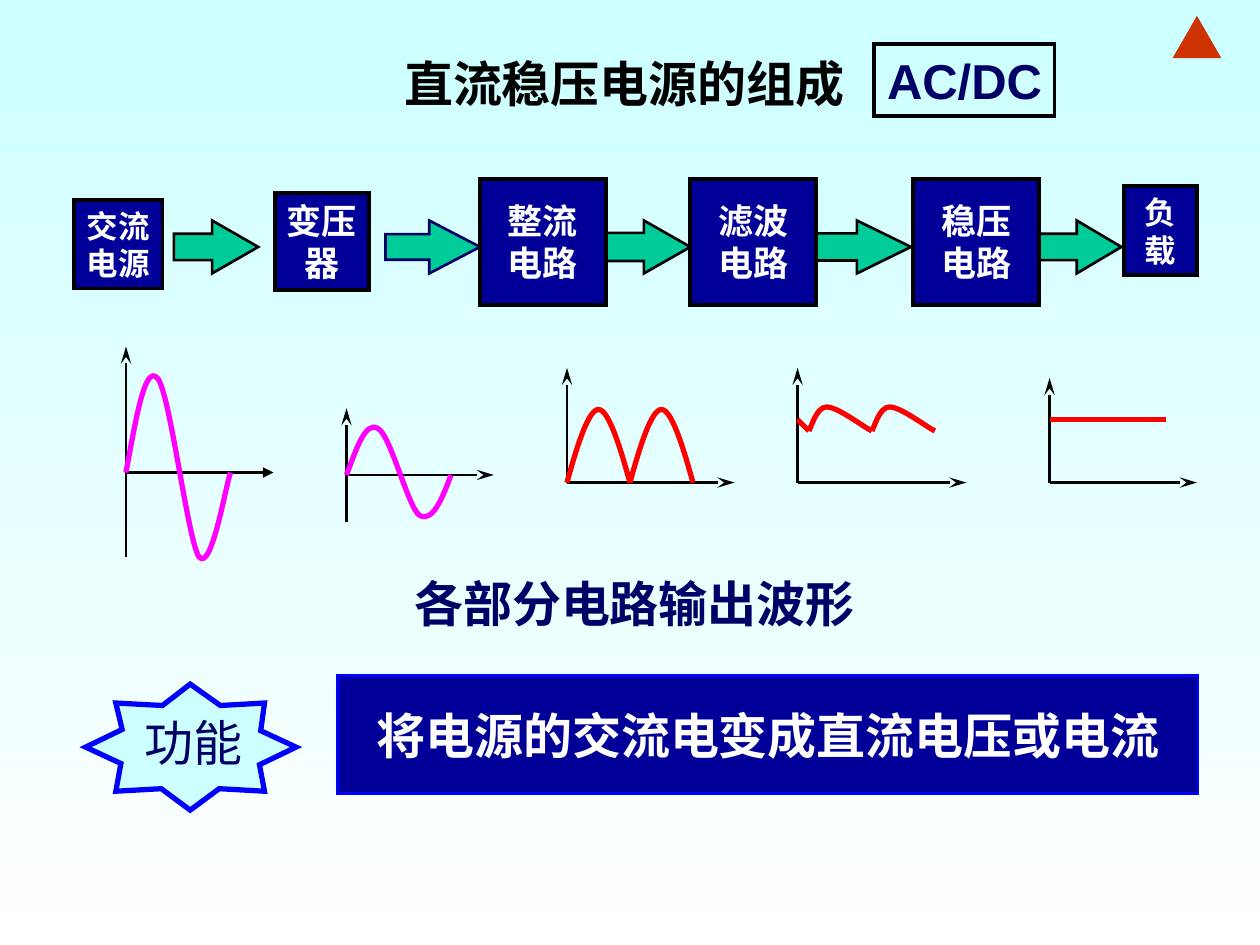
from lxml import etree
from pptx import Presentation
from pptx import util as u
from pptx.dml.color import RGBColor
from pptx.enum import shapes, text
from pptx.oxml.ns import qn

Inches, Pt = u.Inches, u.Pt
CJK = "Noto Sans CJK SC"
BLACK, NAVY, INK, WHITE = "000000", "000099", "000066", "FFFFFF"
PALE, GREEN, BLUE, RED, PINK = "CCFFFF", "00CC99", "0000FF", "FF0000", "FF00FF"
RUST = "CC3300"
rgb = RGBColor.from_string

prs = Presentation()
prs.slide_width, prs.slide_height = Inches(10), Inches(7.5)
slide = prs.slides.add_slide(prs.slide_layouts[6])
canvas = slide.shapes


def style(shape, fill, line, width):
    """Plain fill and sharp-cornered outline without a shadow."""
    shape.shadow.inherit = False
    if fill:
        shape.fill.solid()
        shape.fill.fore_color.rgb = rgb(fill)
    else:
        shape.fill.background()
    shape.line.color.rgb = rgb(line)
    shape.line.width = Pt(width)
    etree.SubElement(shape.line._get_or_add_ln(), qn("a:miter"), lim="800000")


def write(shape, lines, size, color, bold=True, font=CJK, wrap=False):
    """Centred text, one paragraph per line."""
    frame = shape.text_frame
    frame.word_wrap = wrap
    frame.vertical_anchor = text.MSO_ANCHOR.MIDDLE
    for i, line in enumerate(lines):
        paragraph = frame.add_paragraph() if i else frame.paragraphs[0]
        paragraph.alignment = text.PP_ALIGN.CENTER
        run = paragraph.add_run()
        run.text = line
        run.font.size, run.font.bold, run.font.name = Pt(size), bold, font
        run.font.color.rgb = rgb(color)
        etree.SubElement(run.font._element, qn("a:ea"), typeface=font)


# Background gradient, top to bottom
backdrop = slide.background.fill
backdrop.gradient()
backdrop.gradient_angle = 270
for stop, (position, color) in zip(backdrop.gradient_stops, [(0, PALE), (1, WHITE)]):
    stop.position = position
    stop.color.rgb = rgb(color)

# Plain corner emblem
emblem = canvas.add_shape(shapes.MSO_SHAPE.ISOSCELES_TRIANGLE, Inches(9.31), Inches(0.13),
                          Inches(0.38), Inches(0.33))
style(emblem, RUST, RUST, 0.25)

# Arrows between the stages: left, width, shaft, head, outline
for left, width, shaft, head, outline in [
    (1.38, 0.67, 0.5, 0.871, BLACK),
    (3.06, 0.75, 0.483, 0.959, INK),
    (4.81, 0.67, 0.533, 0.879, BLACK),
    (6.48, 0.75, 0.514, 1.021, BLACK),
    (8.25, 0.65, 0.5, 0.844, BLACK),
]:
    arrow = canvas.add_shape(shapes.MSO_SHAPE.RIGHT_ARROW, Inches(left), Inches(1.75),
                             Inches(width), Inches(0.42))
    arrow.adjustments[0], arrow.adjustments[1] = shaft, head
    style(arrow, GREEN, outline, 1.5)

# Headings and the AC/DC tag
title = canvas.add_textbox(Inches(2.08), Inches(0.37), Inches(5.75), Inches(0.57))
write(title, ["直流稳压电源的组成"], 28, BLACK, wrap=True)
caption = canvas.add_textbox(Inches(3.04), Inches(4.5), Inches(3.99), Inches(0.57))
write(caption, ["各部分电路输出波形"], 28, INK, font="Arial", wrap=True)
tag = canvas.add_shape(shapes.MSO_SHAPE.RECTANGLE, Inches(6.94), Inches(0.35),
                       Inches(1.43), Inches(0.57))
style(tag, None, BLACK, 2.25)
write(tag, ["AC/DC"], 28, INK, font="Arial")

# Stages of the supply: lines, left, top, width, height, text size
for lines, left, top, width, height, size in [
    (["交流", "电源"], 0.59, 1.59, 0.7, 0.7, 18),
    (["变压", "器"], 2.18, 1.53, 0.75, 0.77, 20),
    (["整流", "电路"], 3.81, 1.42, 1, 1, 20),
    (["滤波", "电路"], 5.48, 1.42, 1, 1, 20),
    (["稳压", "电路"], 7.25, 1.42, 1, 1, 20),
    (["负", "载"], 8.92, 1.48, 0.58, 0.7, 18),
]:
    stage = canvas.add_shape(shapes.MSO_SHAPE.RECTANGLE, Inches(left), Inches(top),
                             Inches(width), Inches(height))
    style(stage, NAVY, BLACK, 2.25)
    write(stage, lines, size, WHITE)

# Axes and straight traces: x1, y1, x2, y2, colour, width, arrowhead, head length
strokes = []
for x, base, right, bottom, top, head, length in [
    (1, 3.75, 2.17, 4.42, 2.75, "triangle", "med"),
    (2.75, 3.77, 3.92, 4.14, 3.24, "stealth", "lg"),
    (4.5, 3.83, 5.83, 3.83, 2.92, "stealth", "lg"),
    (6.33, 3.83, 7.67, 3.83, 2.92, "stealth", "lg"),
    (8.33, 3.83, 9.5, 3.83, 3, "stealth", "lg"),
]:
    strokes.append((x, base, right, base, BLACK, 1.5, head, length))
    strokes.append((x, bottom, x, top, BLACK, 1.5, "stealth", "lg"))
strokes.append((8.33, 3.33, 9.25, 3.33, RED, 3, None, None))
strokes.append((6.42, 3.42, 6.33, 3.33, RED, 3, None, None))
for x1, y1, x2, y2, color, width, head, length in strokes:
    stroke = canvas.add_connector(shapes.MSO_CONNECTOR.STRAIGHT, Inches(x1), Inches(y1),
                                  Inches(x2), Inches(y2))
    stroke.line.color.rgb = rgb(color)
    stroke.line.width = Pt(width)
    if head:
        etree.SubElement(stroke.line._get_or_add_ln(), qn("a:tailEnd"),
                         type=head, w="med", len=length)
    etree.SubElement(stroke._element.spPr, qn("a:effectLst"))

# Curved traces: start point, then Bezier pieces of two controls and an end
waves = [
    (PINK, [(1, 3.75), (1.08, 3.32), (1.15, 2.89), (1.25, 3), (1.35, 3.11), (1.49, 4.29),
            (1.58, 4.42), (1.68, 4.54), (1.79, 3.86), (1.83, 3.75)]),
    (PINK, [(2.75, 3.77), (2.83, 3.56), (2.9, 3.34), (3, 3.4), (3.1, 3.45), (3.24, 4.03),
            (3.33, 4.09), (3.43, 4.15), (3.51, 3.96), (3.58, 3.77)]),
]
hump = [(0, 3.83), (0.08, 3.54), (0.17, 3.25), (0.25, 3.25),
        (0.33, 3.25), (0.42, 3.54), (0.5, 3.83)]
ripple = [(0, 3.42), (0.02, 3.39), (0.06, 3.23), (0.14, 3.23),
          (0.23, 3.23), (0.42, 3.38), (0.5, 3.42)]
for start, profile in [(4.5, hump), (5, hump), (6.42, ripple), (6.92, ripple)]:
    waves.append((RED, [(start + x, y) for x, y in profile]))

for color, points in waves:
    nodes = [(Inches(x), Inches(y)) for x, y in points]
    pen = canvas.build_freeform(*nodes[0])
    pen.add_line_segments(nodes[1:], close=False)
    wave = pen.convert_to_shape()
    # Every three straight segments become one cubic piece
    segments = list(wave._element.iter(qn("a:lnTo")))
    for i in range(0, len(segments), 3):
        cubic = etree.Element(qn("a:cubicBezTo"))
        segments[i].addprevious(cubic)
        for segment in segments[i:i + 3]:
            cubic.append(segment[0])
            segment.getparent().remove(segment)
    style(wave, None, color, 3)

# Function statement
statement = canvas.add_shape(shapes.MSO_SHAPE.RECTANGLE, Inches(2.68), Inches(5.36),
                             Inches(6.83), Inches(0.94))
style(statement, NAVY, BLUE, 1.5)
write(statement, ["将电源的交流电变成直流电压或电流"], 28, WHITE, wrap=True)

# Starburst with its label
burst = [(0.68, 5.93), (0.96, 6.06), (0.92, 6.28), (1.28, 6.26), (1.51, 6.43), (1.74, 6.26),
         (2.1, 6.28), (2.06, 6.07), (2.35, 5.93), (2.07, 5.8), (2.1, 5.58), (1.75, 5.6),
         (1.51, 5.43), (1.29, 5.6), (0.92, 5.58), (0.97, 5.79)]
corners = [(Inches(x), Inches(y)) for x, y in burst]
pen = canvas.build_freeform(*corners[0])
pen.add_line_segments(corners[1:], close=True)
style(pen.convert_to_shape(), PALE, BLUE, 3)
label = canvas.add_textbox(Inches(0.97), Inches(5.6), Inches(1.13), Inches(0.57))
write(label, ["功能"], 28, INK, bold=False, wrap=True)

prs.save("out.pptx")
